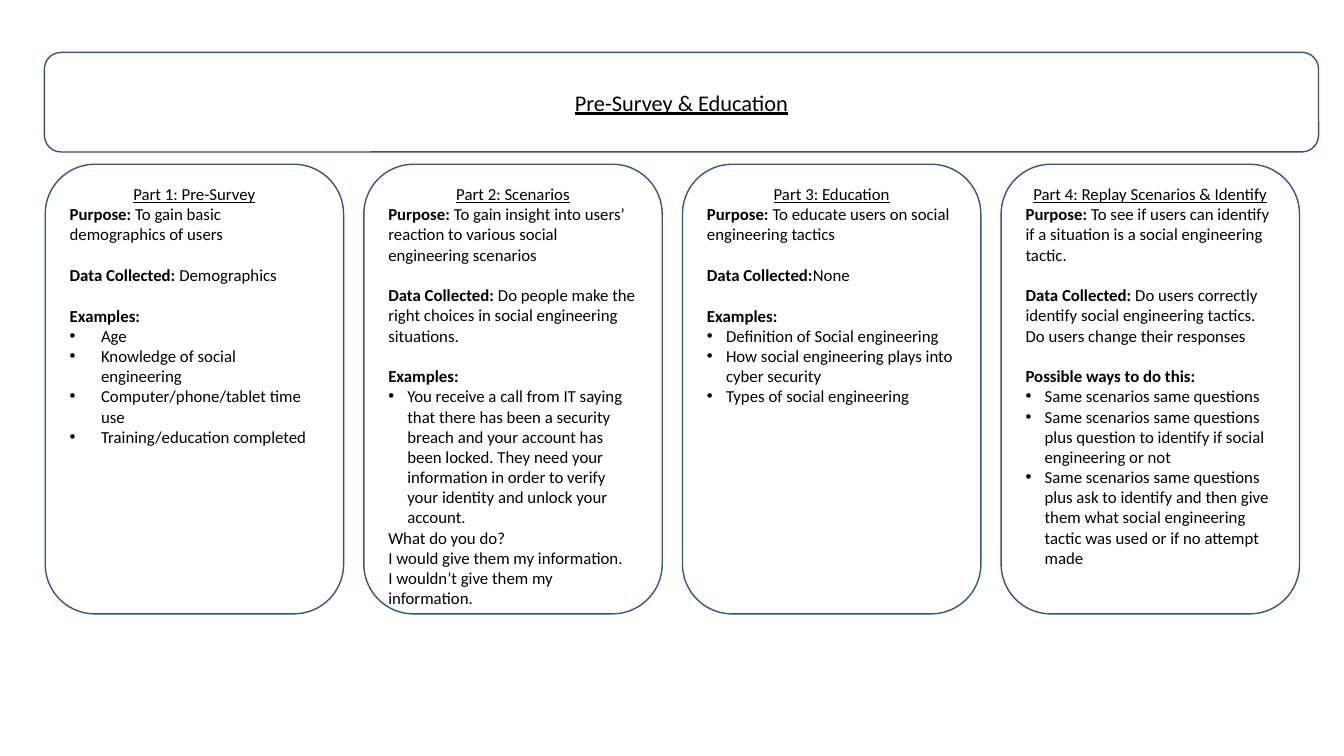
"""Build the Pre-Survey & Education slide with its four study parts."""
import lxml.etree
import pptx
import pptx.dml.color
import pptx.enum.shapes
import pptx.enum.text
import pptx.oxml.ns
import pptx.util

Cm = pptx.util.Cm
Pt = pptx.util.Pt
ALIGN = pptx.enum.text.PP_ALIGN
ANCHOR = pptx.enum.text.MSO_ANCHOR

TITLE = "Pre-Survey & Education"
BANNER = (1.12, 1.32, 32.11, 2.51)
PART_LEFT, PART_STEP, PART_TOP = 1.14, 8.03, 4.14
PART_WIDTH, PART_HEIGHT = 7.52, 11.33
SECTION_GAP = 14.65

PARTS = [
    ("Part 1: Pre-Survey", 0.79, [
        ("label", "Purpose: ", "To gain basic demographics of users"),
        ("section", "Data Collected: ", "Demographics"),
        ("section", "Examples:", ""),
        ("bullet", "", "Age"),
        ("bullet", "", "Knowledge of social engineering"),
        ("bullet", "", "Computer/phone/tablet time use"),
        ("bullet", "", "Training/education completed"),
    ]),
    ("Part 2: Scenarios", 0.48, [
        ("label", "Purpose: ", "To gain insight into users’ reaction to various "
         "social engineering scenarios"),
        ("section", "Data Collected: ", "Do people make the right choices in "
         "social engineering situations."),
        ("section", "Examples:", ""),
        ("bullet", "", "You receive a call from IT saying that there has been a "
         "security breach and your account has been locked. They need your "
         "information in order to verify your identity and unlock your account."),
        ("plain", "", "What do you do?"),
        ("plain", "", "I would give them my information."),
        ("plain", "", "I wouldn’t give them my information."),
    ]),
    ("Part 3: Education", 0.48, [
        ("label", "Purpose: ", "To educate users on social engineering tactics"),
        ("section", "Data Collected:", "None"),
        ("section", "Examples:", ""),
        ("bullet", "", "Definition of Social engineering"),
        ("bullet", "", "How social engineering plays into cyber security"),
        ("bullet", "", "Types of social engineering"),
    ]),
    ("Part 4: Replay Scenarios & Identify", 0.48, [
        ("label", "Purpose: ", "To see if users can identify if a situation is a "
         "social engineering tactic."),
        ("section", "Data Collected: ", "Do users correctly identify social "
         "engineering tactics."),
        ("plain", "", "Do users change their responses"),
        ("section", "Possible ways to do this:", ""),
        ("bullet", "", "Same scenarios same questions"),
        ("bullet", "", "Same scenarios same questions plus question to identify "
         "if social engineering or not"),
        ("bullet", "", "Same scenarios same questions plus ask to identify and "
         "then give them what social engineering tactic was used or if no "
         "attempt made"),
    ]),
]


def color(value):
    """Return the RGB colour of a hex string."""
    return pptx.dml.color.RGBColor.from_string(value)


def format_run(r, size=12, bold=False, underline=False):
    """Set the font of one run."""
    r.font.name = "Calibri"
    r.font.size = Pt(size)
    r.font.bold = bold
    r.font.underline = underline
    r.font.color.rgb = color("000000")


def add_heading(p, text, size=12):
    """Write a centred, underlined heading."""
    p.text = text
    p.alignment = ALIGN.CENTER
    format_run(p.runs[0], size, underline=True)


def set_bullet(p, indent):
    """Give a paragraph a hanging round bullet."""
    pPr = p._p.get_or_add_pPr()
    pPr.set("marL", str(Cm(indent)))
    pPr.set("indent", str(-Cm(indent)))
    qn = pptx.oxml.ns.qn
    lxml.etree.SubElement(pPr, qn("a:buFont")).set("typeface", "Arial")
    lxml.etree.SubElement(pPr, qn("a:buChar")).set("char", "•")


def add_line(tf, kind, lead, rest, indent):
    """Add a paragraph with a bold lead and a regular remainder."""
    p = tf.add_paragraph()
    p.alignment = ALIGN.LEFT
    if kind == "section":
        p.space_before = Pt(SECTION_GAP)
    if kind == "bullet":
        set_bullet(p, indent)
    for text, bold in ((lead, True), (rest, False)):
        if text:
            r = p.add_run()
            r.text = text
            format_run(r, bold=bold)


def add_panel(s, left, top, width, height):
    """Add a white rounded panel with a blue outline."""
    sp = s.shapes.add_shape(pptx.enum.shapes.MSO_SHAPE.ROUNDED_RECTANGLE,
                            Cm(left), Cm(top), Cm(width), Cm(height))
    sp.shadow.inherit = False
    sp.fill.solid()
    sp.fill.fore_color.rgb = color("FFFFFF")
    sp.line.color.rgb = color("325491")
    sp.line.width = Pt(1)
    return sp


def add_banner(s):
    """Place the slide title on a panel across the top."""
    panel = add_panel(s, *BANNER)
    title = s.shapes.title
    title.left, title.top, title.width, title.height = map(Cm, BANNER)
    tf = title.text_frame
    tf.auto_size = pptx.enum.text.MSO_AUTO_SIZE.NONE
    tf.vertical_anchor = ANCHOR.MIDDLE
    add_heading(tf.paragraphs[0], TITLE, 16)
    panel.element.addnext(title.element)


def add_part(s, left, heading, indent, lines):
    """Add one study part as a panel with its text."""
    sp = add_panel(s, left, PART_TOP, PART_WIDTH, PART_HEIGHT)
    tf = sp.text_frame
    tf.word_wrap = True
    tf.vertical_anchor = ANCHOR.TOP
    add_heading(tf.paragraphs[0], heading)
    for kind, lead, rest in lines:
        add_line(tf, kind, lead, rest, indent)


def main():
    """Build and save the slide."""
    prs = pptx.Presentation()
    prs.slide_width, prs.slide_height = Cm(33.87), Cm(19.05)
    s = prs.slides.add_slide(prs.slide_layouts.get_by_name("Title Only"))
    add_banner(s)
    for i, (heading, indent, lines) in enumerate(PARTS):
        add_part(s, PART_LEFT + i * PART_STEP, heading, indent, lines)
    prs.save("out.pptx")


main()
